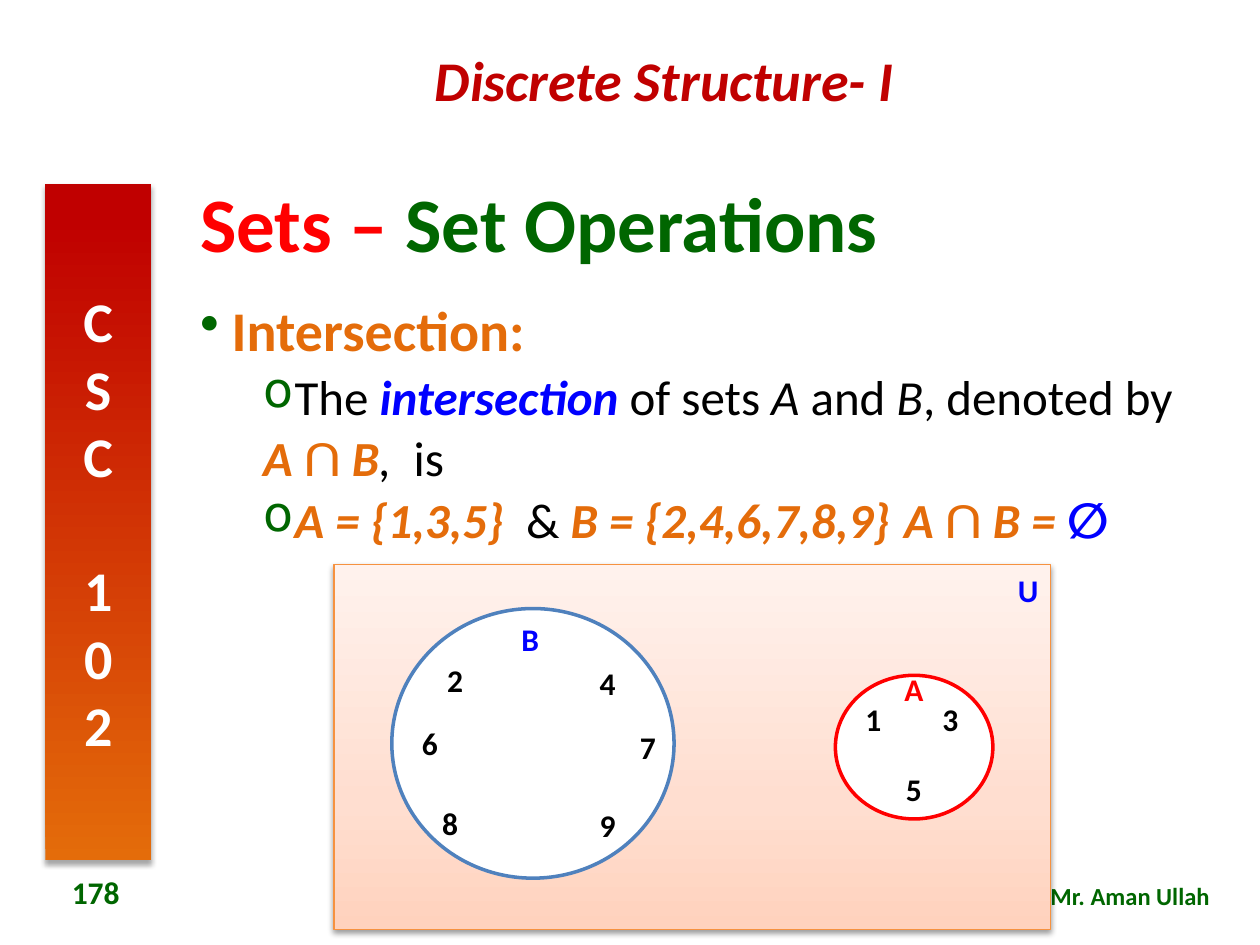
import dataclasses

import pptx
import pptx.dml.color
import pptx.enum.shapes
import pptx.enum.text
import pptx.oxml
import pptx.oxml.ns
import pptx.util

ALIGN = pptx.enum.text.PP_ALIGN
ANCHOR = pptx.enum.text.MSO_ANCHOR
SHAPE = pptx.enum.shapes.MSO_SHAPE
NS = pptx.oxml.ns.nsdecls("a")


@dataclasses.dataclass(frozen=True)
class Theme:
    font: str = "Calibri"
    math_font: str = "Cambria"
    maroon: str = "C00000"
    red: str = "FF0000"
    green: str = "006600"
    orange: str = "E46C0A"
    blue: str = "0000FF"
    black: str = "000000"
    white: str = "FFFFFF"
    set_outline: str = "4F81BD"
    universe_outline: str = "F69240"
    universe_fill: tuple = ((0, "FFD2BD"), (35, "FFDED0"), (100, "FFF2ED"))
    sidebar_fill: tuple = ((0, "E46C0A"), (95, "C00000"))
    title: int = 44
    heading: int = 32
    body: int = 28
    label: int = 18
    footer: int = 14


THEME = Theme()


def rgb(color):
    return pptx.dml.color.RGBColor.from_string(color)


def write(paragraph, text, size=THEME.label, color=THEME.black, bold=True,
          italic=False, font=THEME.font):
    """Add one formatted run to a paragraph."""
    run = paragraph.add_run()
    run.text = text
    run.font.name, run.font.size = font, pptx.util.Pt(size)
    run.font.bold, run.font.italic = bold, italic
    run.font.color.rgb = rgb(color)


class SlideBuilder:
    """Places elements on a grid of 100 columns by 75 rows."""
    COLUMNS, ROWS = 100, 75

    def __init__(self, deck, theme):
        self.theme = theme
        self.slide = deck.slides.add_slide(deck.slide_layouts[6])
        self.column = deck.slide_width / self.COLUMNS
        self.row = deck.slide_height / self.ROWS

    def place(self, left, top, width, height):
        return (round(left * self.column), round(top * self.row),
                round(width * self.column), round(height * self.row))

    def text(self, area, runs=(), align=ALIGN.LEFT, anchor=ANCHOR.TOP, spacing=None):
        """Add a text box whose first paragraph holds the (text, format) runs."""
        frame = self.slide.shapes.add_textbox(*self.place(*area)).text_frame
        frame.word_wrap = True
        frame.vertical_anchor = anchor
        paragraph = frame.paragraphs[0]
        paragraph.alignment, paragraph.line_spacing = align, spacing
        for words, style in runs:
            write(paragraph, words, **style)
        return frame

    def shape(self, kind, area, fill, outline=None, width=1, shadow=None):
        """Add a preset shape; fill is one colour or gradient stops from the bottom up."""
        shape = self.slide.shapes.add_shape(kind, *self.place(*area))
        shape.shadow.inherit = False
        if isinstance(fill, str):
            shape.fill.solid()
            shape.fill.fore_color.rgb = rgb(fill)
        else:
            self.gradient(shape, fill)
        if outline:
            shape.line.color.rgb = rgb(outline)
            shape.line.width = pptx.util.Pt(width)
        else:
            shape.line.fill.background()
        if shadow:
            self.shadow(shape, *shadow)
        return shape

    def gradient(self, shape, stops):
        shape.fill.gradient()
        shape.fill.gradient_angle = 90
        stop_list = shape.element.spPr.find(".//" + pptx.oxml.ns.qn("a:gsLst"))
        for old_stop in list(stop_list):
            stop_list.remove(old_stop)
        for position, color in stops:
            stop_list.append(pptx.oxml.parse_xml(
                f'<a:gs {NS} pos="{position * 1000}"><a:srgbClr val="{color}"/></a:gs>'))

    def shadow(self, shape, opacity, distance):
        effects = shape.element.spPr.find(pptx.oxml.ns.qn("a:effectLst"))
        effects.append(pptx.oxml.parse_xml(
            f'<a:outerShdw {NS} blurRad="{pptx.util.Pt(3.1)}" '
            f'dist="{pptx.util.Pt(distance)}" dir="5400000" rotWithShape="0">'
            f'<a:srgbClr val="{self.theme.black}"><a:alpha val="{opacity * 1000}"/>'
            '</a:srgbClr></a:outerShdw>'))

    def point(self, frame, runs, bullet=None, indent=0.0, before=0):
        """Add a justified paragraph; indent is where its text starts, in inches."""
        paragraph = frame.paragraphs[0]
        if paragraph.runs:
            paragraph = frame.add_paragraph()
        paragraph.alignment, paragraph.line_spacing = ALIGN.JUSTIFY, 0.9
        paragraph.space_before = pptx.util.Pt(before)
        properties = paragraph._p.get_or_add_pPr()
        properties.set("marL", str(pptx.util.Inches(indent)))
        properties.set("indent", str(pptx.util.Inches(-0.25 if bullet else 0)))
        if bullet:
            for xml in (f'<a:buClr {NS}><a:srgbClr val="{self.theme.green}"/></a:buClr>',
                        f'<a:buChar {NS} char="{bullet}"/>'):
                properties.append(pptx.oxml.parse_xml(xml))
        for words, style in runs:
            write(paragraph, words, **style)

    def label(self, words, left, top, color=THEME.black):
        self.text((left, top, 3.2, 4), [(words, dict(color=color))])


def main():
    theme = THEME
    deck = pptx.Presentation()
    deck.slide_width, deck.slide_height = pptx.util.Inches(10), pptx.util.Inches(7.5)
    page = SlideBuilder(deck, theme)

    # Course name, sidebar and footer
    page.text((21.1, 3.1, 63.3, 6.4), [("Discrete Structure- I", dict(
        size=theme.heading, color=theme.maroon, italic=True))], ALIGN.CENTER)
    sidebar = page.shape(SHAPE.RECTANGLE, (3.6, 14.6, 8.4, 53.7),
                         theme.sidebar_fill, shadow=(35, 1.8))
    sidebar.text_frame._txBody.bodyPr.set("vert", "wordArtVert")
    course_code = sidebar.text_frame.paragraphs[0]
    course_code.alignment = ALIGN.CENTER
    write(course_code, "CSC 102", size=theme.heading, color=theme.white)
    page.text((68, 69.4, 29, 3.4), [("Mr. Aman Ullah", dict(
        size=theme.footer, color=theme.green))], ALIGN.RIGHT)
    page.text((2.4, 68.8, 10.4, 4), [("178", dict(color=theme.green))],
              ALIGN.CENTER, ANCHOR.MIDDLE)

    # Title
    page.text((14.9, 13.6, 83.9, 8.9), [
        ("Sets – ", dict(size=theme.title, color=theme.red)),
        ("Set Operations", dict(size=theme.title, color=theme.green)),
    ], anchor=ANCHOR.MIDDLE, spacing=0.9)

    # Definition and example
    plain = dict(size=theme.body, bold=False)
    variable = dict(plain, italic=True)
    term = dict(size=theme.body, color=theme.blue, italic=True)
    formula = dict(term, color=theme.orange)
    operator = dict(formula, italic=False, font=theme.math_font)
    definition = page.text((14.9, 23.6, 83.9, 44))
    page.point(definition, [("Intersection:", dict(
        size=theme.heading, color=theme.orange))], "•", 0.25)
    page.point(definition, [
        ("The ", plain), ("intersection", term), (" of sets ", plain), ("A", variable),
        (" and ", plain), ("B", variable), (", denoted by", plain)], "o", 0.75, 5)
    page.point(definition, [
        ("A ", formula), ("∩ ", operator), ("B", formula),
        (",", variable), ("  is", plain)], indent=0.5, before=5)
    page.point(definition, [
        ("A = {1,3,5}  ", formula), ("&", plain), (" B = {2,4,6,7,8,9}\t A ", formula),
        ("∩ ", operator), ("B = ", formula),
        ("∅", dict(term, italic=False))], "o", 0.75, 5)

    # Universe with two disjoint sets
    universe = page.shape(SHAPE.RECTANGLE, (26.5, 44.8, 56.9, 29), theme.universe_fill,
                          theme.universe_outline, 0.75, shadow=(38, 1.6))
    universe.text_frame.vertical_anchor = ANCHOR.TOP
    universe_name = universe.text_frame.paragraphs[0]
    universe_name.alignment = ALIGN.RIGHT
    write(universe_name, "U", color=theme.blue)
    page.shape(SHAPE.OVAL, (31.1, 48.3, 22.4, 21.4), theme.white, theme.set_outline, 2)
    page.shape(SHAPE.OVAL, (66.3, 53.6, 12.5, 11.4), theme.white, theme.red, 2)

    # Set names and members
    page.label("B", 40.4, 48.7, theme.blue)
    page.label("A", 70.8, 52.7, theme.red)
    members = {"2": (34.5, 52), "4": (46.6, 52.2), "6": (32.5, 57), "7": (49.8, 57.3),
               "8": (34.1, 63.3), "9": (46.6, 63.5),
               "1": (67.7, 55.1), "3": (73.8, 55.1), "5": (70.9, 60.6)}
    for member, (left, top) in members.items():
        page.label(member, left, top)

    deck.save("out.pptx")


if __name__ == "__main__":
    main()
